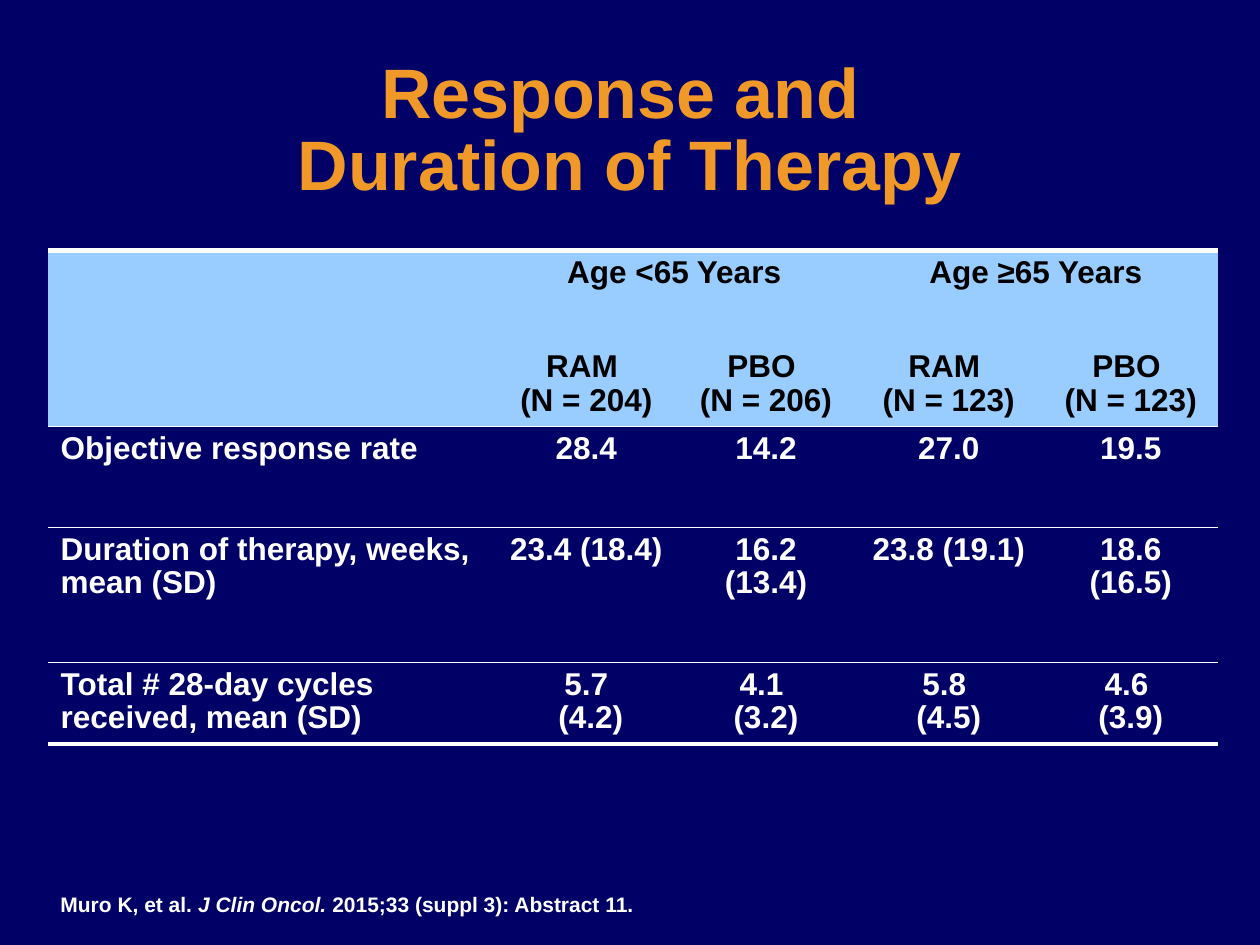
from copy import deepcopy

from lxml.etree import SubElement
from pptx import Presentation
from pptx.dml.color import RGBColor
from pptx.enum.text import MSO_ANCHOR, PP_ALIGN
from pptx.oxml import parse_xml
from pptx.oxml.ns import qn
from pptx.util import Cm, Pt

NAVY = RGBColor(0x00, 0x00, 0x66)
SKY = RGBColor(0x99, 0xCC, 0xFF)
ORANGE = RGBColor(0xF0, 0x98, 0x28)
WHITE = RGBColor(0xFF, 0xFF, 0xFF)
BLACK = RGBColor(0x00, 0x00, 0x00)
NO_GRID = "{2D5ABB26-0587-4C30-8999-92F81FD0307C}"

TITLE = "Response and \vDuration of Therapy"
HEADER_ROWS = 2
ROWS = [
    ["", "Age <65 Years", "", "Age ≥65 Years", ""],
    ["", "RAM \v(N = 204)", "PBO \v(N = 206)", "RAM \v(N = 123)", "PBO \v(N = 123)"],
    ["Objective response rate", "28.4", "14.2", "27.0", "19.5"],
    ["Duration of therapy, weeks, mean (SD)",
     "23.4 (18.4)", "16.2 (13.4)", "23.8 (19.1)", "18.6 (16.5)"],
    ["Total # 28-day cycles received, mean (SD)",
     "5.7\n (4.2)", "4.1 \n(3.2)", "5.8 \n(4.5)", "4.6 \n(3.9)"],
]
MERGES = [((0, 0), (1, 0)), ((0, 1), (0, 2)), ((0, 3), (0, 4))]
COL_WIDTHS = [9, 3.7, 3.54, 3.83, 3.51]
ROW_HEIGHTS = [1.9, 1.65, 2.03, 2.72, 1.65]
RULES = [3, 0, 1, 0.25, 0.25, 3]
CITATION = [
    ("Muro K, et al. ", False),
    ("J Clin Oncol. ", True),
    ("2015;33 (suppl 3): Abstract 11.", False),
]


def style_run(r, size, color, italic=False):
    formats = {"name": "Arial", "size": Pt(size), "bold": True, "italic": italic}
    for name, value in formats.items():
        setattr(r.font, name, value)
    r.font.color.rgb = color


def style_text(tf, size, color, align, spacing):
    for p in tf.paragraphs:
        p.alignment = align
        p.line_spacing = spacing
        for r in p.runs:
            style_run(r, size, color)


def add_rule(cell, side, width):
    if not width:
        return
    tc_pr = cell._tc.get_or_add_tcPr()
    ln = SubElement(tc_pr, qn(f"a:{side}"), w=str(Pt(width)))
    fill = SubElement(ln, qn("a:solidFill"))
    SubElement(fill, qn("a:srgbClr"), val=str(WHITE))


def add_title(s):
    sp = s.shapes.title
    sp.left, sp.top, sp.width, sp.height = Cm(0.94), Cm(1.09), Cm(23.52), Cm(3.18)
    tf = sp.text_frame
    tf.text = TITLE
    tf.word_wrap = True
    tf.vertical_anchor = MSO_ANCHOR.MIDDLE
    style_text(tf, 40, ORANGE, PP_ALIGN.CENTER, 0.85)
    p = tf.paragraphs[0]
    for r in p.runs:
        shadow = parse_xml(
            '<a:effectLst xmlns:a="http://schemas.openxmlformats.org/drawingml/2006/main">'
            '<a:outerShdw dist="35921" dir="2700000"><a:srgbClr val="000000"/>'
            '</a:outerShdw></a:effectLst>')
        r.font._element.find(qn("a:solidFill")).addnext(shadow)
    p._p.find(qn("a:br")).insert(0, deepcopy(p.runs[0].font._element))


def add_results(s):
    frame = s.shapes.add_table(
        len(ROWS), len(COL_WIDTHS), Cm(0.97), Cm(5.05),
        Cm(sum(COL_WIDTHS)), Cm(sum(ROW_HEIGHTS)))
    table = frame.table
    table._tbl.tblPr.find(qn("a:tableStyleId")).text = NO_GRID
    for column, width in zip(table.columns, COL_WIDTHS):
        column.width = Cm(width)
    for row, height in zip(table.rows, ROW_HEIGHTS):
        row.height = Cm(height)
    for start, end in MERGES:
        table.cell(*start).merge(table.cell(*end))
    for i, row in enumerate(ROWS):
        is_header = i < HEADER_ROWS
        for j, text in enumerate(row):
            cell = table.cell(i, j)
            last = i + cell.span_height if cell.is_merge_origin else i + 1
            add_rule(cell, "lnT", RULES[i])
            add_rule(cell, "lnB", RULES[last])
            if is_header:
                cell.fill.solid()
                cell.fill.fore_color.rgb = SKY
            else:
                cell.fill.background()
            if text:
                cell.text_frame.text = text
                style_text(cell.text_frame, 18, BLACK if is_header else WHITE,
                           PP_ALIGN.CENTER if j else PP_ALIGN.LEFT, 0.95)


def add_citation(s):
    tf = s.shapes.add_textbox(Cm(0.97), Cm(17.88), Cm(16.84), Cm(0.74)).text_frame
    tf.word_wrap = True
    p = tf.paragraphs[0]
    p.line_spacing = 0.95
    for text, italic in CITATION:
        r = p.add_run()
        r.text = text
        style_run(r, 12, WHITE, italic)


def main():
    prs = Presentation()
    prs.slide_width, prs.slide_height = Cm(25.4), Cm(19.05)
    s = prs.slides.add_slide(prs.slide_layouts[5])
    s.background.fill.solid()
    s.background.fill.fore_color.rgb = NAVY
    add_results(s)
    add_title(s)
    add_citation(s)
    prs.save("out.pptx")


if __name__ == "__main__":
    main()
